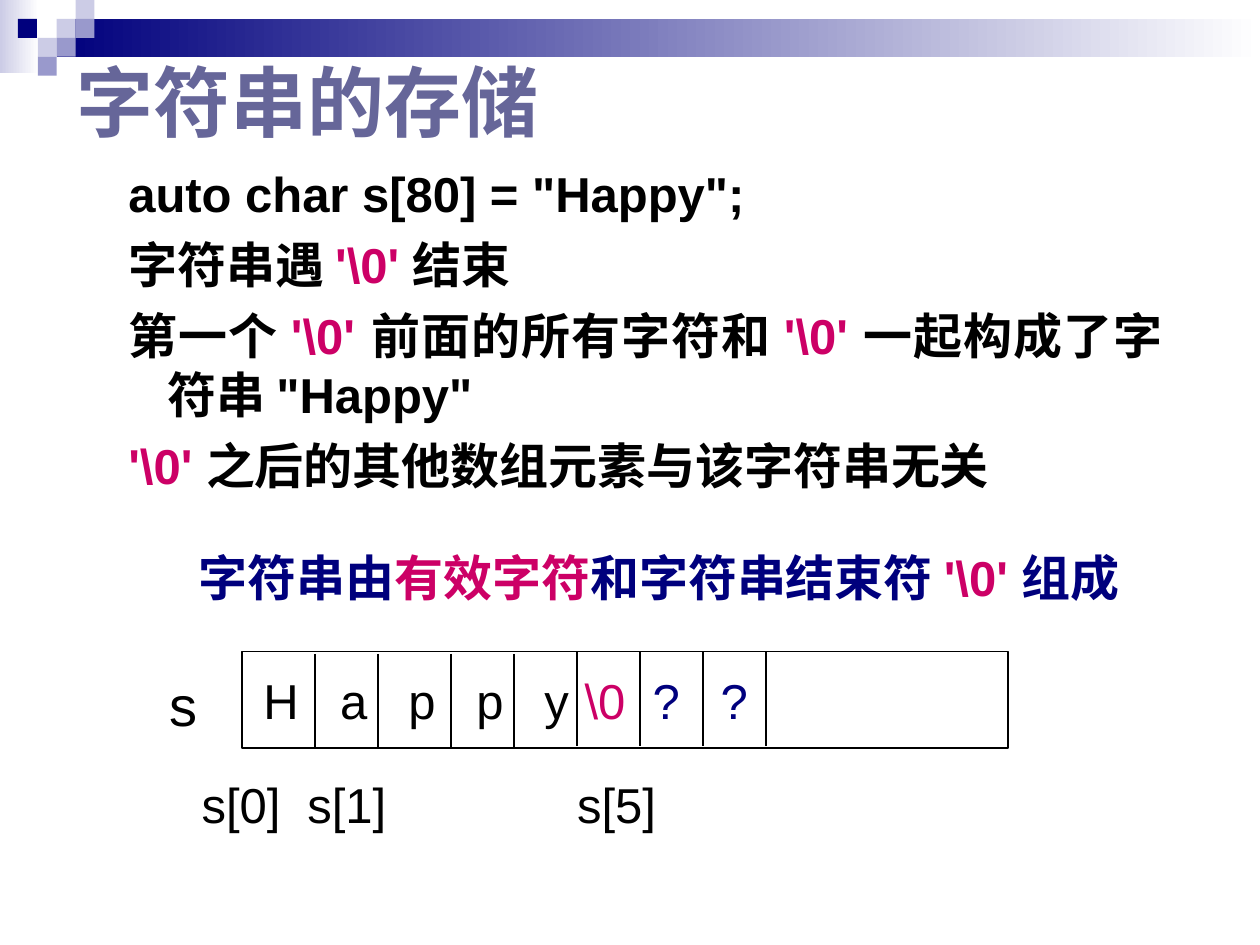
from lxml import etree
from pptx import Presentation
from pptx.dml.color import RGBColor
from pptx.enum.shapes import MSO_CONNECTOR as Connector, MSO_SHAPE as Shape
from pptx.enum.text import MSO_ANCHOR as Anchor, PP_ALIGN as Align
from pptx.oxml.ns import qn
from pptx.util import Inches, Pt

TILE = 0.15
NAVY, LILAC, VIOLET, SLATE = "00007D", "CCCCE6", "9999CC", "666699"
BLACK, WHITE, PINK = "000000", "FFFFFF", "CC0066"
ARRAY_LEFT, ARRAY_TOP, ARRAY_WIDTH, ARRAY_HEIGHT = 1.92, 5.17, 6.08, 0.77
CELL = 0.5


def rgb(value):
    return RGBColor.from_string(value)


def add_rect(slide, left, top, width, height, fill=None, fade_to=None, line=None):
    rect = slide.shapes.add_shape(
        Shape.RECTANGLE, Inches(left), Inches(top), Inches(width), Inches(height))
    rect.shadow.inherit = False
    if fade_to:
        rect.fill.gradient()
        rect.fill.gradient_angle = 0
        for stop, color, position in zip(rect.fill.gradient_stops, (fill, fade_to), (0, 1)):
            stop.color.rgb = rgb(color)
            stop.position = position
    elif fill:
        rect.fill.solid()
        rect.fill.fore_color.rgb = rgb(fill)
    else:
        rect.fill.background()
    if line:
        rect.line.color.rgb = rgb(line)
        rect.line.width = Pt(1)
    else:
        rect.line.fill.background()


def add_divider(slide, x, top):
    divider = slide.shapes.add_connector(
        Connector.STRAIGHT, Inches(x), Inches(top), Inches(x), Inches(top + 0.75))
    divider.line.color.rgb = rgb(BLACK)
    divider.line.width = Pt(1)
    etree.SubElement(divider._element.spPr, qn("a:effectLst"))


def format_run(run, size, color, bold):
    run.font.name = "Arial"
    run.font.size = Pt(size)
    run.font.bold = bold
    run.font.color.rgb = rgb(color)


def set_tabs(paragraph, stops):
    tab_list = etree.SubElement(paragraph._p.get_or_add_pPr(), qn("a:tabLst"))
    for stop in stops:
        etree.SubElement(tab_list, qn("a:tab"), pos=str(Inches(stop)), algn="l")


def add_text(slide, left, top, width, height, lines, size=28, bold=False,
             tabs=(), inset=0.1, hanging=False):
    box = slide.shapes.add_textbox(Inches(left), Inches(top), Inches(width), Inches(height))
    frame = box.text_frame
    frame.word_wrap = True
    frame.margin_left = Inches(inset)
    for index, parts in enumerate(lines):
        paragraph = frame.add_paragraph() if index else frame.paragraphs[0]
        if index:
            paragraph.space_before = Pt(7)
            paragraph.alignment = Align.JUSTIFY
        if hanging:
            properties = paragraph._p.get_or_add_pPr()
            properties.set("marL", str(Inches(0.81)))
            properties.set("indent", str(Inches(-0.31)))
        if tabs:
            set_tabs(paragraph, tabs)
        for text, color in parts:
            run = paragraph.add_run()
            run.text = text
            format_run(run, size, color, bold)


def add_banner(slide):
    add_rect(slide, 0, 0, 0.31, 0.58, LILAC, WHITE)
    add_rect(slide, 3 * TILE, TILE, 9.55, 2 * TILE, NAVY, WHITE)
    for column, row, color in [
        (3, 1, LILAC), (4, 0, LILAC), (4, 1, VIOLET), (2, 2, LILAC),
        (0.95, 1, NAVY), (3, 2, VIOLET), (2, 3, VIOLET),
    ]:
        add_rect(slide, column * TILE, row * TILE, TILE, TILE, color)


def set_title(slide, text):
    title = slide.shapes.title
    title.left, title.top, title.width, title.height = map(Inches, (0.51, 0.28, 4.66, 1.04))
    frame = title.text_frame
    frame.text = text
    frame.vertical_anchor = Anchor.MIDDLE
    frame.paragraphs[0].alignment = Align.LEFT
    format_run(frame.paragraphs[0].runs[0], 44, SLATE, True)


def add_explanation(slide):
    terminator = ("'\\0' ", PINK)
    add_text(slide, 0.42, 1.25, 8.91, 2.97, [
        [('auto char s[80] = "Happy";', BLACK)],
        [("字符串遇 ", BLACK), terminator, ("结束", BLACK)],
        [("第一个 ", BLACK), terminator, ("前面的所有字符和 ", BLACK), terminator,
         ('一起构成了字符串 "Happy"', BLACK)],
        [terminator, ("之后的其他数组元素与该字符串无关", BLACK)],
    ], bold=True, hanging=True)
    add_text(slide, 1.48, 4.3, 7.75, 0.57, [
        [("字符串由", NAVY), ("有效字符", PINK), ("和字符串结束符 ", NAVY),
         terminator, ("组成", NAVY)],
    ], bold=True)


def add_array(slide):
    add_rect(slide, ARRAY_LEFT, ARRAY_TOP, ARRAY_WIDTH, ARRAY_HEIGHT, line=BLACK)
    for x in (2.5, 2.5 + CELL, 3.58, 3.58 + CELL):
        add_divider(slide, x, ARRAY_TOP + 0.02)
    for step in range(2, 6):
        add_divider(slide, 3.58 + step * CELL, ARRAY_TOP)

    add_text(slide, 1.25, 5.27, 0.58, 0.63, [[("s", BLACK)]], size=32)
    letter_stops = [0.61 + 0.54 * step for step in range(4)]
    add_text(slide, ARRAY_LEFT, 5.27, 4.92, 0.56, [
        [("H\ta\tp\tp\ty\t", BLACK), ("\\0\t", PINK), ("?\t?", NAVY)],
    ], tabs=letter_stops + [2.55, 3.09, 3.63], inset=0.17)
    add_text(slide, 1.42, 6.1, 3.92, 0.56, [[("s[0]\ts[1]\ts[5]", BLACK)]],
             tabs=(0.84, 2.98), inset=0.18)


def main():
    presentation = Presentation()
    presentation.slide_width = Inches(10)
    presentation.slide_height = Inches(7.5)
    slide = presentation.slides.add_slide(presentation.slide_layouts[5])
    add_banner(slide)
    set_title(slide, "字符串的存储")
    add_explanation(slide)
    add_array(slide)
    presentation.save("out.pptx")


if __name__ == "__main__":
    main()
